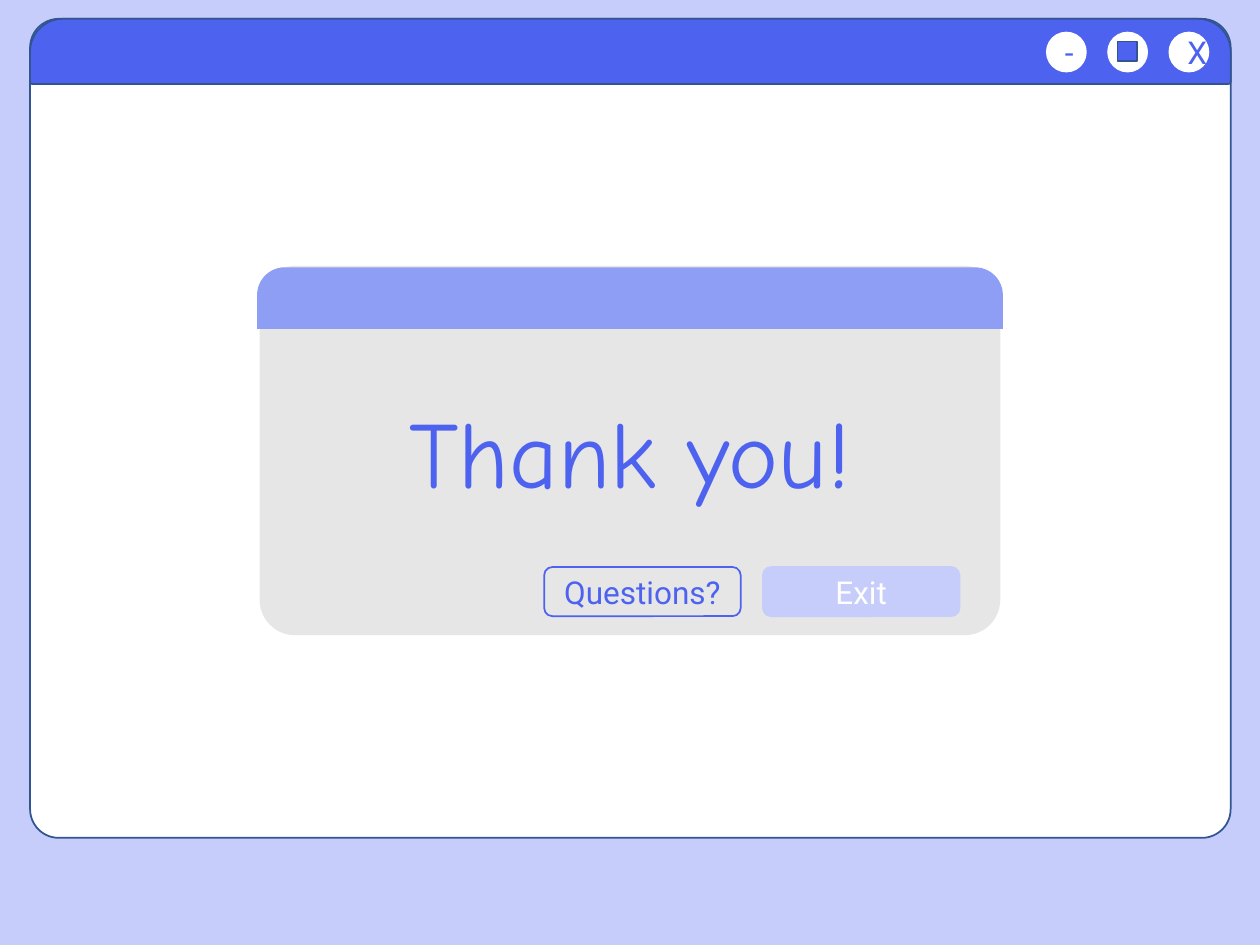
import pptx
import pptx.dml.color
import pptx.enum.shapes
import pptx.enum.text
import pptx.util

COLORS = {
    "lavender": "C6CDFA",
    "white": "FFFFFF",
    "blue": "4D63F0",
    "navy": "325491",
    "gray": "E6E6E6",
    "periwinkle": "8F9EF5",
}
SHAPES = pptx.enum.shapes.MSO_SHAPE


class WindowSlide:
    """Draws styled window parts on the current slide."""

    def __init__(self, slide, font="Roboto", size=18):
        self.slide = slide
        self.font = font
        self.size = size

    def color(self, name):
        return pptx.dml.color.RGBColor.from_string(COLORS[name])

    def background(self, name):
        fill = self.slide.background.fill
        fill.solid()
        fill.fore_color.rgb = self.color(name)

    def group(self):
        return self.slide.shapes.add_group_shape()

    def shape(self, kind, box, fill=None, line=None, adjustments=(), parent=None):
        shapes = (parent or self.slide).shapes
        shape = shapes.add_shape(kind, *(pptx.util.Pt(length) for length in box))
        shape.shadow.inherit = False
        for index, value in enumerate(adjustments):
            shape.adjustments[index] = value
        if fill:
            shape.fill.solid()
            shape.fill.fore_color.rgb = self.color(fill)
        else:
            shape.fill.background()
        if line:
            shape.line.color.rgb = self.color(line)
            shape.line.width = pptx.util.Pt(1)
        else:
            shape.line.fill.background()
        return shape

    def label(self, shape, text, color="blue", font=None, size=None):
        frame = shape.text_frame
        frame.vertical_anchor = pptx.enum.text.MSO_ANCHOR.MIDDLE
        paragraph = frame.paragraphs[0]
        paragraph.alignment = pptx.enum.text.PP_ALIGN.CENTER
        run = paragraph.add_run()
        run.text = text
        run.font.name = font or self.font
        run.font.size = pptx.util.Pt(size or self.size)
        run.font.color.rgb = self.color(color)

    def control(self, left, text):
        circle = self.shape(SHAPES.OVAL, (left, 18.6, 22.3, 22.3), "white", "white")
        if text:
            self.label(circle, text)

    def button(self, left, text, text_color, fill, line):
        button = self.shape(SHAPES.ROUNDED_RECTANGLE, (left, 324, 112.3, 28.1), fill, line)
        self.label(button, text, text_color)


def main():
    presentation = pptx.Presentation()
    presentation.slide_width = pptx.util.Pt(720)
    presentation.slide_height = pptx.util.Pt(540)
    window = WindowSlide(presentation.slides.add_slide(presentation.slide_layouts[6]))
    window.background("lavender")

    window.shape(SHAPES.ROUNDED_RECTANGLE, (17.2, 10.8, 686, 468), "white", "navy", (0.035,))
    window.shape(SHAPES.ROUND_2_SAME_RECTANGLE, (17.2, 10.8, 686, 37.2), "blue", "navy", (0.5, 0.03))
    for index, text in enumerate(("-", "", "X")):
        window.control(598.2 + 35 * index, text)
    window.shape(SHAPES.RECTANGLE, (638.6, 23.8, 11, 11), "blue", "navy")

    dialog = window.group()
    panel = window.shape(
        SHAPES.ROUNDED_RECTANGLE, (148.4, 152, 423.2, 211), "gray", adjustments=(0.096,), parent=dialog
    )
    window.label(panel, "Thank you!", font="Comic Neue", size=54)
    window.shape(
        SHAPES.ROUND_2_SAME_RECTANGLE, (146.9, 152.8, 426.2, 35.2), "periwinkle",
        adjustments=(0.45, 0), parent=dialog,
    )

    window.button(311, "Questions?", "blue", None, "blue")
    window.button(436, "Exit", "white", "lavender", "lavender")
    presentation.save("out.pptx")


if __name__ == "__main__":
    main()
